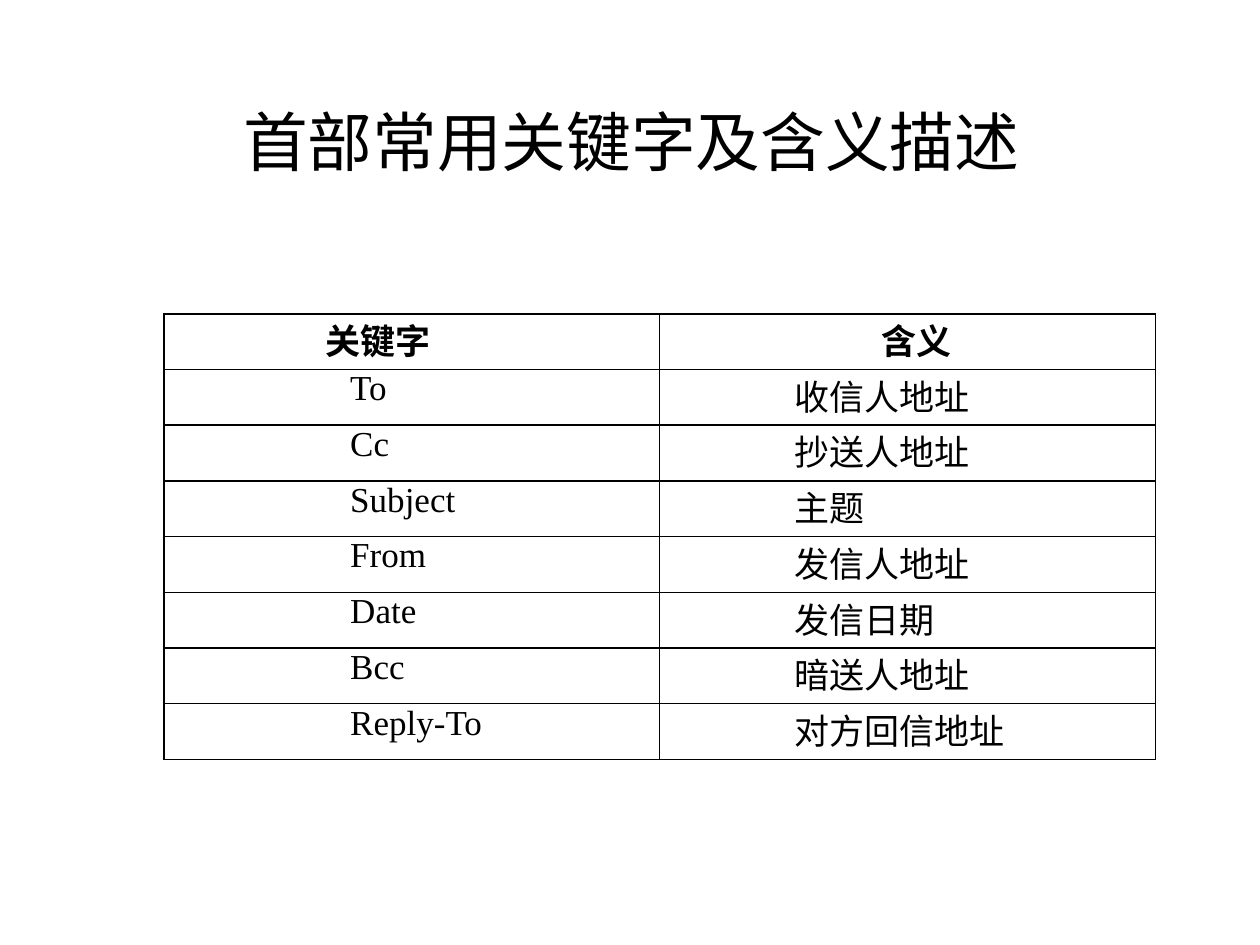
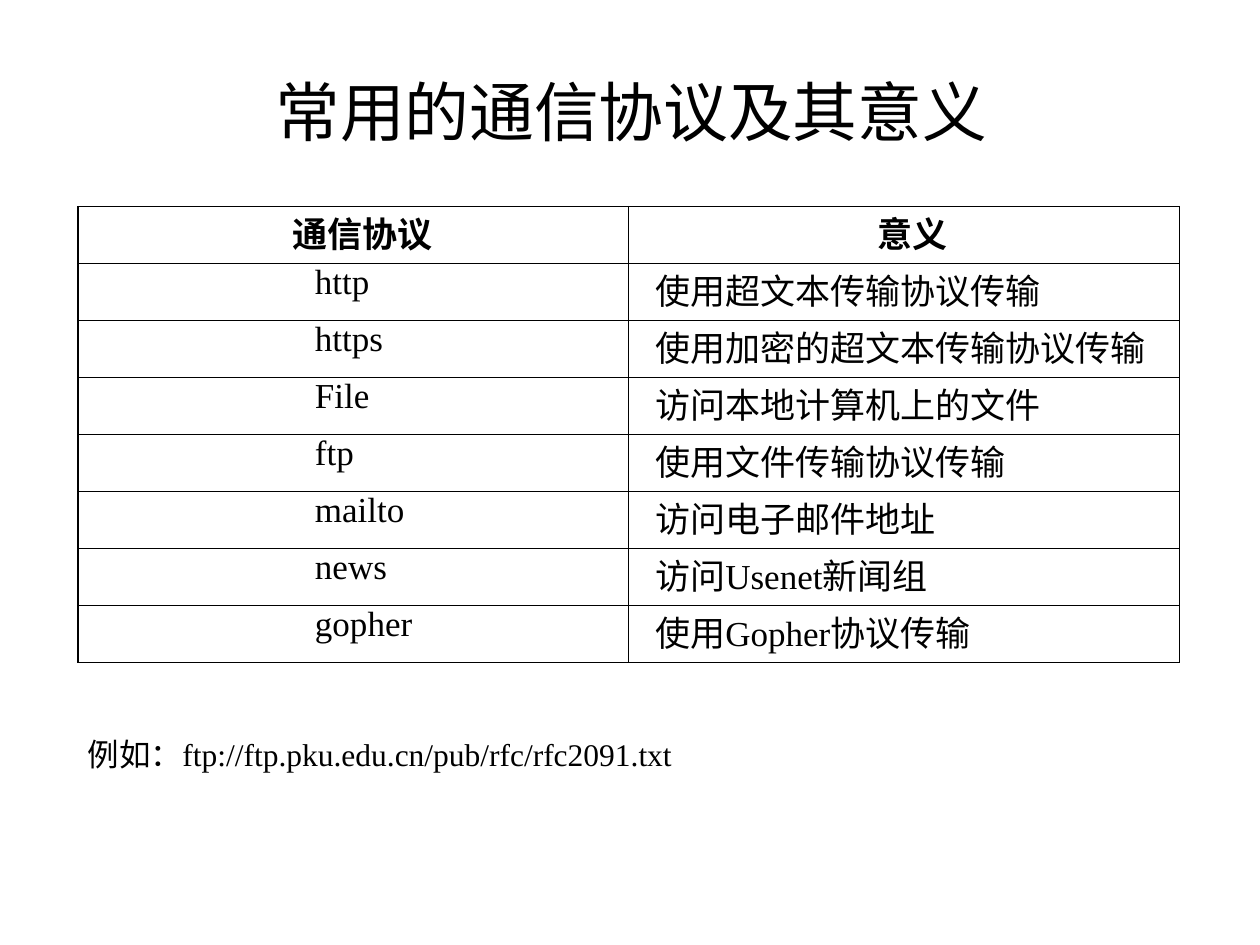
import lxml.etree
import pptx
import pptx.dml.color
import pptx.enum.text
import pptx.oxml.ns
import pptx.util

Inches = pptx.util.Inches
Pt = pptx.util.Pt
Align = pptx.enum.text.PP_ALIGN
Anchor = pptx.enum.text.MSO_ANCHOR

FONT = "Times New Roman"
BLACK = "000000"
TITLE_SIZE, TABLE_SIZE, NOTE_SIZE = 37, 20, 18
TITLE_LEFT, TITLE_WIDTH, TITLE_HEIGHT = 0.51, 9, 0.75
TITLE_ONLY_LAYOUT = 5

HEADER_ROWS = [
    ("关键字", "含义"),
    ("To", "收信人地址"),
    ("Cc", "抄送人地址"),
    ("Subject", "主题"),
    ("From", "发信人地址"),
    ("Date", "发信日期"),
    ("Bcc", "暗送人地址"),
    ("Reply-To", "对方回信地址"),
]
PROTOCOL_ROWS = [
    ("通信协议", "意义"),
    ("http", "使用超文本传输协议传输"),
    ("https", "使用加密的超文本传输协议传输"),
    ("File", "访问本地计算机上的文件"),
    ("ftp", "使用文件传输协议传输"),
    ("mailto", "访问电子邮件地址"),
    ("news", "访问Usenet新闻组"),
    ("gopher", "使用Gopher协议传输"),
]


def color(value):
    return pptx.dml.color.RGBColor.from_string(value)


def write(frame, text, size, align=Align.LEFT, indent=0, bold=False):
    """Fill the first paragraph, indenting its first line."""
    para = frame.paragraphs[0]
    para.alignment = align
    properties = para._p.get_or_add_pPr()
    properties.set("marL", "0")
    properties.set("indent", str(Inches(indent)))
    span = para.add_run()
    span.text = text
    span.font.name = FONT
    span.font.size = Pt(size)
    span.font.bold = bold
    span.font.color.rgb = color(BLACK)


def add_page(deck, title, title_top):
    page = deck.slides.add_slide(deck.slide_layouts[TITLE_ONLY_LAYOUT])
    box = page.shapes.title
    box.left, box.top = Inches(TITLE_LEFT), Inches(title_top)
    box.width, box.height = Inches(TITLE_WIDTH), Inches(TITLE_HEIGHT)
    frame = box.text_frame
    frame.auto_size = pptx.enum.text.MSO_AUTO_SIZE.NONE
    frame.vertical_anchor = Anchor.TOP
    frame.margin_top = frame.margin_bottom = 0
    write(frame, title, TITLE_SIZE, Align.CENTER)
    return page


def draw_borders(cell, width=1):
    properties = cell._tc.get_or_add_tcPr()
    qn = pptx.oxml.ns.qn
    for side in ("lnL", "lnR", "lnT", "lnB"):
        line = lxml.etree.SubElement(properties, qn(f"a:{side}"), w=str(Pt(width)))
        fill = lxml.etree.SubElement(line, qn("a:solidFill"))
        lxml.etree.SubElement(fill, qn("a:srgbClr"), val=BLACK)


def add_grid(page, rows, bounds, heading_styles, body_indents):
    """Add a bordered table; heading_styles holds (alignment, indent) per column."""
    frame = page.shapes.add_table(len(rows), len(rows[0]), *map(Inches, bounds))
    table = frame.table
    table.first_row = table.horz_banding = False
    body_styles = [(Align.JUSTIFY, indent) for indent in body_indents]
    for row_index, row in enumerate(rows):
        heading = row_index == 0
        styles = heading_styles if heading else body_styles
        for column, (text, (align, indent)) in enumerate(zip(row, styles)):
            cell = table.cell(row_index, column)
            cell.margin_left = cell.margin_right = Inches(0.07)
            cell.margin_top = cell.margin_bottom = 0
            draw_borders(cell)
            cell.fill.background()
            write(cell.text_frame, text, TABLE_SIZE, align, indent, heading)


def add_note(page, text, bounds):
    box = page.shapes.add_textbox(*map(Inches, bounds))
    box.text_frame.word_wrap = True
    box.text_frame.vertical_anchor = Anchor.MIDDLE
    write(box.text_frame, text, NOTE_SIZE, indent=0.29)


def main():
    deck = pptx.Presentation()
    deck.slide_width, deck.slide_height = Inches(10), Inches(7.5)
    centered = (Align.CENTER, 0.14)

    page = add_page(deck, "首部常用关键字及含义描述", 0.81)
    add_grid(page, HEADER_ROWS, (1.3, 2.49, 7.87, 3.54),
             [(Align.LEFT, 1.21), centered], (1.41, 1))

    page = add_page(deck, "常用的通信协议及其意义", 0.57)
    add_grid(page, PROTOCOL_ROWS, (0.62, 1.64, 8.74, 3.62),
             [centered, centered], (1.81, 0.14))
    add_note(page, "例如：ftp://ftp.pku.edu.cn/pub/rfc/rfc2091.txt",
             (0.31, 5.78, 7.03, 0.4))

    deck.save("out.pptx")


if __name__ == "__main__":
    main()
